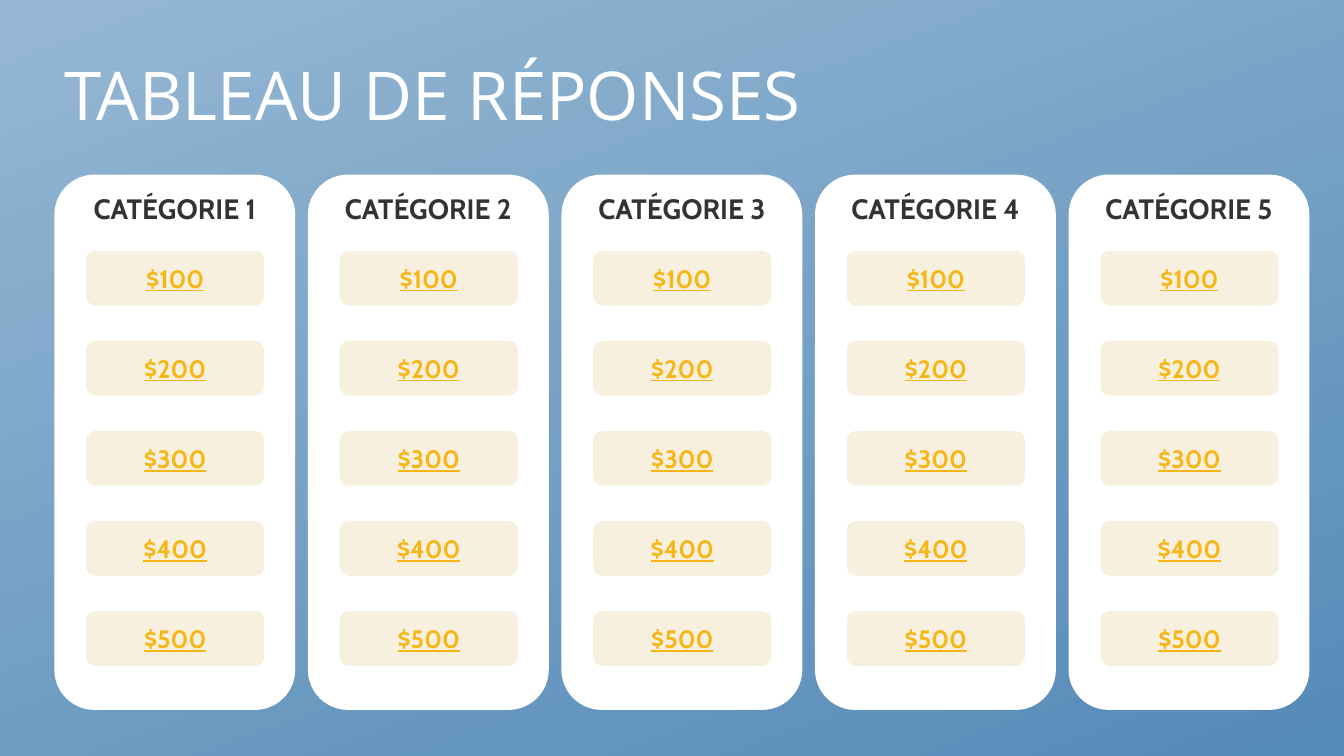
from dataclasses import dataclass

import pptx
import pptx.dml.color
import pptx.enum.shapes
import pptx.enum.text
import pptx.util

Cm = pptx.util.Cm
Pt = pptx.util.Pt
Anchor = pptx.enum.text.MSO_ANCHOR
Align = pptx.enum.text.PP_ALIGN

COLORS = {
    "sky": "94B6D2",
    "sea": "558BB8",
    "white": "FFFFFF",
    "cream": "F7F0DE",
    "ink": "333333",
    "gold": "F7B615",
}
AMOUNTS = (100, 200, 300, 400, 500)
CATEGORY_COUNT = 5
COLUMN_LEFT, COLUMN_TOP, COLUMN_PITCH = 1.37, 4.4, 6.39
TILE_INSET, TILE_TOP, TILE_PITCH = 0.8, 6.32, 2.27


@dataclass(frozen=True)
class CardStyle:
    width: float
    height: float
    fill: str
    color: str
    size: int
    anchor: Anchor
    underline: bool


COLUMN = CardStyle(6.07, 13.49, "white", "ink", 20, Anchor.TOP, False)
TILE = CardStyle(4.49, 1.38, "cream", "gold", 18, Anchor.MIDDLE, True)


def rgb(name: str) -> pptx.dml.color.RGBColor:
    return pptx.dml.color.RGBColor.from_string(COLORS[name])


def paint_background(s: pptx.slide.Slide) -> None:
    fill = s.background.fill
    fill.gradient()
    fill.gradient_angle = 290
    for stop, color, position in zip(fill.gradient_stops, ("sky", "sea"), (0.02, 1)):
        stop.color.rgb = rgb(color)
        stop.position = position


def write_title(s: pptx.slide.Slide, text: str) -> None:
    sp = s.shapes.title
    sp.left, sp.top, sp.width, sp.height = Cm(1.37), Cm(0.64), Cm(29.21), Cm(3.68)
    tf = sp.text_frame
    tf.text = text
    tf.word_wrap = True
    tf.auto_size = pptx.enum.text.MSO_AUTO_SIZE.NONE
    tf.vertical_anchor = Anchor.MIDDLE
    p = tf.paragraphs[0]
    p.alignment = Align.LEFT
    p.line_spacing = 0.9
    p.font.name = "Open Sans"
    p.font.size = Pt(48)
    p.font.color.rgb = rgb("white")


def add_card(s: pptx.slide.Slide, style: CardStyle, left: float, top: float, text: str) -> None:
    sp = s.shapes.add_shape(
        pptx.enum.shapes.MSO_SHAPE.FLOWCHART_ALTERNATE_PROCESS,
        Cm(left), Cm(top), Cm(style.width), Cm(style.height),
    )
    sp.shadow.inherit = False
    sp.fill.solid()
    sp.fill.fore_color.rgb = rgb(style.fill)
    sp.line.fill.background()
    tf = sp.text_frame
    tf.text = text
    tf.word_wrap = True
    tf.vertical_anchor = style.anchor
    p = tf.paragraphs[0]
    p.alignment = Align.CENTER
    p.font.name = "Cabin"
    p.font.size = Pt(style.size)
    p.font.bold = True
    p.font.underline = style.underline
    p.font.color.rgb = rgb(style.color)


def main() -> None:
    prs = pptx.Presentation()
    prs.slide_width, prs.slide_height = Cm(33.87), Cm(19.05)
    s = prs.slides.add_slide(prs.slide_layouts.get_by_name("Title Only"))
    paint_background(s)
    write_title(s, "TABLEAU DE RÉPONSES")
    for column in range(CATEGORY_COUNT):
        left = COLUMN_LEFT + column * COLUMN_PITCH
        add_card(s, COLUMN, left, COLUMN_TOP, f"CATÉGORIE {column + 1}")
        for row, amount in enumerate(AMOUNTS):
            add_card(s, TILE, left + TILE_INSET, TILE_TOP + row * TILE_PITCH, f"${amount}")
    prs.save("out.pptx")


if __name__ == "__main__":
    main()
